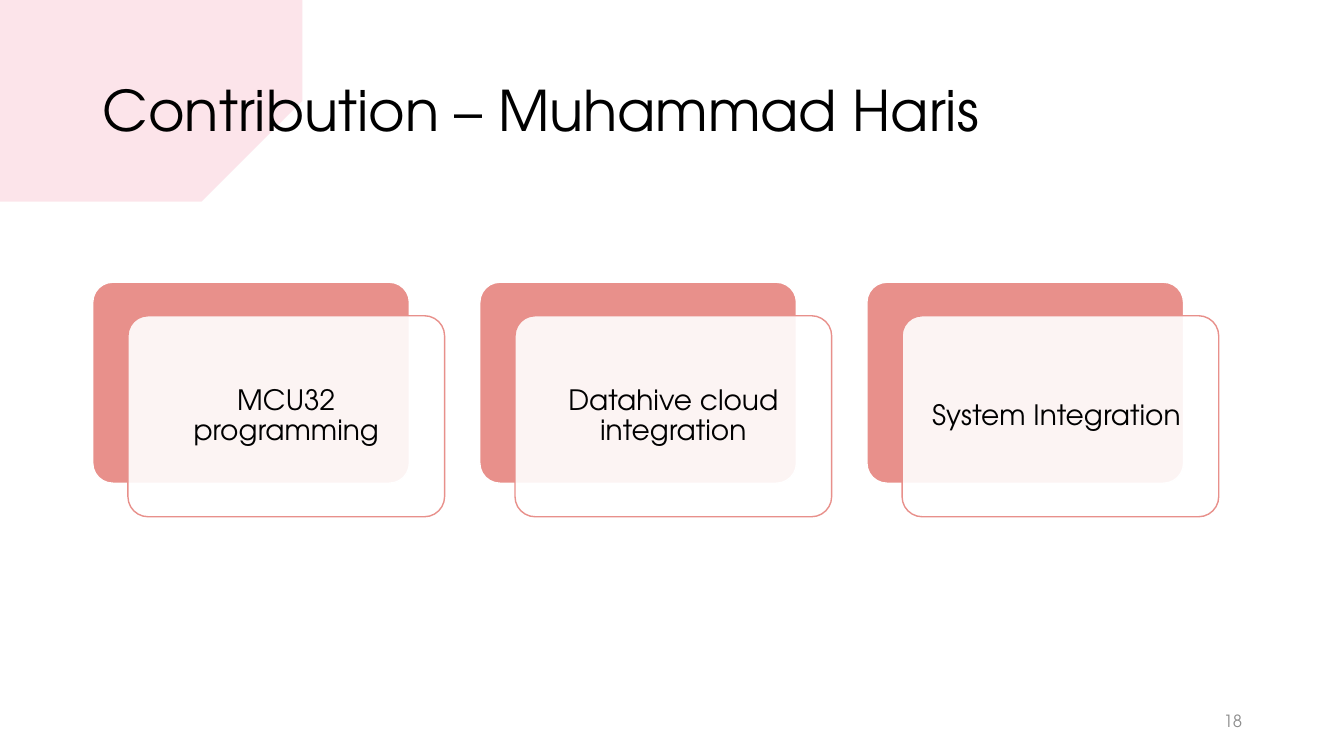
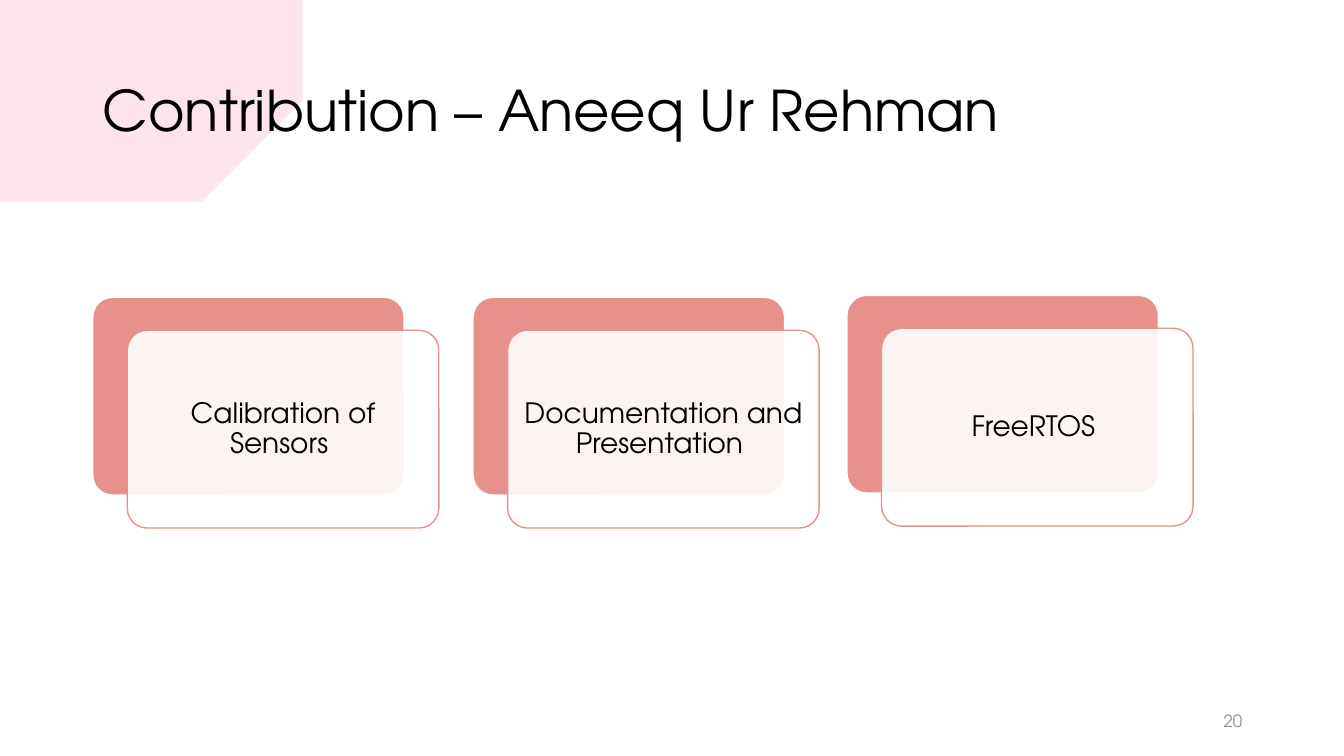
"""Build two contribution slides with three layered cards each."""
import pptx
import pptx.dml.color
import pptx.enum.shapes
import pptx.enum.text
import pptx.oxml
import pptx.oxml.ns
import pptx.util

FONT = "TeX Gyre Adventor"
COLORS = {"text": "000000", "muted": "8C8C8C", "card": "E8908B",
          "paper": "FFFFFF", "brush": "F07C98"}
WIDTH, HEIGHT = pptx.util.Inches(13.33), pptx.util.Inches(7.5)
ALIGN = pptx.enum.text.PP_ALIGN
ROUNDED = pptx.enum.shapes.MSO_SHAPE.ROUNDED_RECTANGLE

BRUSH = [(0, 0.34), (0.66, 0.38), (1.51, 0.38), (1.94, 0.41), (2.7, 0.41),
         (2.8, 0.47), (2.53, 0.57), (2.62, 0.62), (2.38, 0.66), (2.75, 0.74),
         (2.51, 0.75), (2.9, 0.85), (2.63, 0.88), (3.3, 0.94), (3.18, 1.06),
         (2.8, 1.18), (2.74, 1.28), (3.08, 1.28), (2.69, 1.38), (2.52, 1.48),
         (2.63, 1.48), (1.97, 1.72), (1.02, 1.88), (0.65, 1.91), (0, 1.88)]


def across(percent):
    return round(WIDTH * percent / 100)


def down(percent):
    return round(HEIGHT * percent / 100)


def rgb(name):
    return pptx.dml.color.RGBColor.from_string(COLORS[name])


def fill_shape(sp, color, opacity=100):
    sp.shadow.inherit = False
    sp.fill.solid()
    sp.fill.fore_color.rgb = rgb(color)
    if opacity < 100:
        clr = sp.element.spPr.find(".//" + pptx.oxml.ns.qn("a:srgbClr"))
        alpha = pptx.oxml.parse_xml(
            f'<a:alpha {pptx.oxml.ns.nsdecls("a")} val="{opacity * 1000}"/>')
        clr.append(alpha)


def set_text(sp, text, size, align, color="text", spacing=0.9):
    tf = sp.text_frame
    tf.word_wrap = True
    tf.auto_size = pptx.enum.text.MSO_AUTO_SIZE.NONE
    tf.vertical_anchor = pptx.enum.text.MSO_ANCHOR.MIDDLE
    p = tf.paragraphs[0]
    p.text = text
    p.alignment = align
    p.line_spacing = spacing
    p.font.name = FONT
    p.font.size = pptx.util.Pt(size)
    p.font.color.rgb = rgb(color)


def add_brush(s):
    builder = s.shapes.build_freeform(*BRUSH[0], scale=pptx.util.Inches(1))
    builder.add_line_segments(BRUSH[1:], close=True)
    sp = builder.convert_to_shape()
    fill_shape(sp, "brush", 20)
    sp.line.fill.background()
    s.slide_layout.shapes.element.insert(2, sp.element)


def add_card(s, text, left, top, width):
    height = round(width * 0.635)
    back = s.shapes.add_shape(ROUNDED, left, top, width, height)
    front = s.shapes.add_shape(ROUNDED, left + width // 9, top + height // 6,
                               width, height)
    for sp, fill, line, opacity in ((back, "card", "paper", 100),
                                    (front, "paper", "card", 90)):
        sp.adjustments[0] = 0.1
        fill_shape(sp, fill, opacity)
        sp.line.color.rgb = rgb(line)
        sp.line.width = pptx.util.Pt(1)
    tf = front.text_frame
    tf.margin_left = tf.margin_right = pptx.util.Inches(0.08)
    tf.margin_top = tf.margin_bottom = pptx.util.Inches(0.08)
    set_text(front, text, 20, ALIGN.CENTER)


def add_slide(prs, person, number, card_width, cards):
    s = prs.slides.add_slide(prs.slide_layouts[5])
    title = s.shapes.title
    title.left, title.top = across(6.9), down(5.33)
    title.width, title.height = across(86.27), down(19.33)
    set_text(title, f"Contribution – {person}", 40, ALIGN.LEFT)
    for text, left, top in cards:
        add_card(s, text, across(left), down(top), across(card_width))
    box = s.shapes.add_textbox(across(70.67), down(92.67), across(22.5), down(5.33))
    set_text(box, str(number), 12, ALIGN.RIGHT, "muted", 1.0)
    return s


def main():
    prs = pptx.Presentation()
    prs.slide_width, prs.slide_height = WIDTH, HEIGHT
    labels = ["MCU32 programming", "Datahive cloud integration",
              "System Integration "]
    s = add_slide(prs, "Muhammad Haris", 18, 23.56,
                  [(text, 6.9 + 28.8 * i, 37.33) for i, text in enumerate(labels)])
    add_brush(s)
    add_slide(prs, "Aneeq Ur Rehman", 20, 23.18,
              [("Calibration of Sensors ", 6.9, 39.33),
               ("Documentation and Presentation ", 35.2, 39.33),
               ("FreeRTOS ", 63.02, 39.07)])
    prs.save("out.pptx")


if __name__ == "__main__":
    main()
